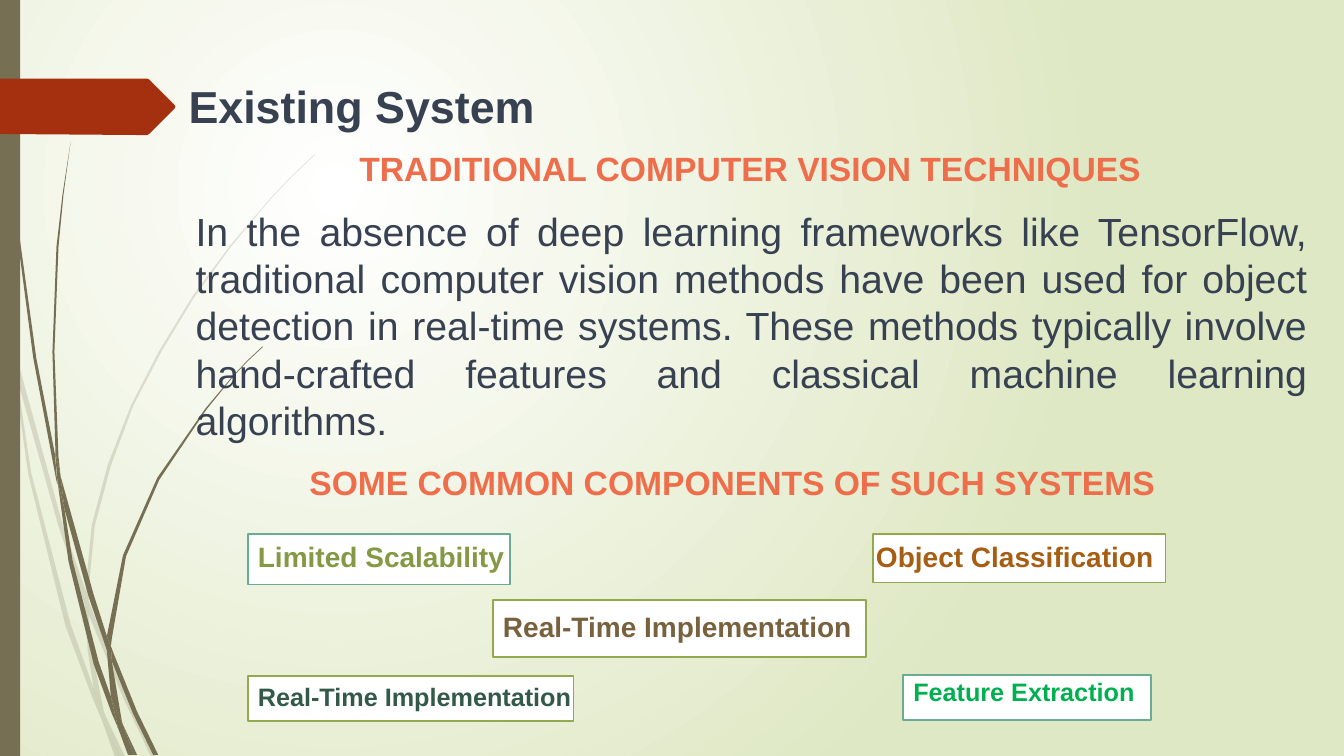
from lxml import etree
from pptx import Presentation
from pptx.dml.color import RGBColor
from pptx.enum import shapes, text
from pptx.oxml.ns import qn

PX = 9144  # EMU per px, 100 px to the inch
WIDTH, HEIGHT = 1333, 750

WHITE = RGBColor(0xFF, 0xFF, 0xFF)
PALE_GREEN = RGBColor(0xDF, 0xE8, 0xC4)
OLIVE = RGBColor(0x76, 0x6F, 0x54)
RUST = RGBColor(0xA5, 0x30, 0x10)
SLATE = RGBColor(0x37, 0x41, 0x51)
CORAL = RGBColor(0xEE, 0x6E, 0x4B)
TEAL_LINE = RGBColor(0x6A, 0xAC, 0x91)
GREEN_LINE = RGBColor(0x92, 0xAA, 0x4C)
BRIGHT_GREEN = RGBColor(0x00, 0xB0, 0x50)
BROWN = RGBColor(0xA6, 0x5E, 0x12)
DARK_GREEN = RGBColor(0x32, 0x59, 0x49)
TAN = RGBColor(0x77, 0x62, 0x3D)
LEAF = RGBColor(0x83, 0x99, 0x43)


def draw_outline(parent, points, color):
    """Add a closed, filled outline without a border."""
    builder = parent.build_freeform(*points[0], scale=PX)
    builder.add_line_segments(points[1:])
    shape = builder.convert_to_shape()
    shape.shadow.inherit = False
    shape.fill.solid()
    shape.fill.fore_color.rgb = color
    shape.line.fill.background()
    return shape


def write(shape, box, words, size, color, bold=True, align=text.PP_ALIGN.LEFT):
    """Place a text shape and format its single paragraph."""
    shape.left, shape.top, shape.width, shape.height = [n * PX for n in box]
    frame = shape.text_frame
    frame.text = words
    frame.word_wrap = True
    frame.auto_size = text.MSO_AUTO_SIZE.NONE
    frame.vertical_anchor = text.MSO_ANCHOR.TOP
    paragraph = frame.paragraphs[0]
    paragraph.alignment = align
    font = paragraph.runs[0].font
    font.name, font.size, font.bold = "Arial", size * 12700, bold
    font.color.rgb = color
    return paragraph


presentation = Presentation()
presentation.slide_width = WIDTH * PX
presentation.slide_height = HEIGHT * PX
slide = presentation.slides.add_slide(presentation.slide_layouts[1])

# Background: radial gradient centred in the upper left
background = slide.background.fill
background.gradient()
for stop, color, position in zip(background.gradient_stops, (WHITE, PALE_GREEN), (0, 1)):
    stop.color.rgb = color
    stop.position = position
gradient = slide.background._cSld.find(".//" + qn("a:gradFill"))
gradient.remove(gradient.find(qn("a:lin")))
circle = etree.SubElement(gradient, qn("a:path"), path="circle")
etree.SubElement(circle, qn("a:fillToRect"), l="50000", t="50000", r="100000", b="100000")

# Grass: the pieces of each tuft as outlines
pale_grass = [
    [(11, 350), (9, 322), (0, 282), (0, 299), (10, 344)],
    [(58, 522), (84, 599), (85, 586), (62, 520), (14, 345), (17, 376)],
    [(92, 607), (88, 596), (88, 610), (123, 694), (150, 751), (155, 751), (127, 692)],
    [(119, 751), (124, 751), (105, 711)],
    [(93, 683), (70, 619), (31, 469), (17, 376), (11, 350), (28, 470), (65, 621),
     (92, 693), (101, 714), (99, 707)],
    [(84, 599), (87, 646), (93, 683), (96, 692), (105, 711), (103, 706), (91, 646),
     (88, 610), (88, 608)],
    [(88, 584), (94, 522), (110, 462), (132, 403), (160, 349), (192, 296), (229, 245),
     (268, 198), (290, 175), (312, 154), (312, 153), (289, 175), (268, 197), (228, 244),
     (191, 294), (158, 348), (130, 402), (107, 461), (91, 521), (85, 584), (85, 586), (88, 596)],
    [(101, 714), (114, 751), (119, 751)],
    [(88, 608), (88, 610), (88, 596), (85, 586), (84, 599)],
    [(96, 692), (93, 683), (99, 707), (101, 714), (119, 751), (105, 711)],
]
dark_grass = [
    [(7, 110), (17, 233), (33, 355), (56, 477), (57, 481), (55, 457), (55, 453), (36, 355),
     (19, 232), (8, 109), (5, 48), (4, 0), (3, 0), (4, 48)],
    [(88, 592), (106, 645), (106, 633), (106, 631), (93, 590), (60, 472), (64, 505)],
    [(113, 649), (110, 641), (111, 656), (132, 708), (152, 749), (157, 749), (136, 706)],
    [(110, 691), (98, 657), (72, 556), (64, 505), (57, 477), (68, 557), (93, 659),
     (111, 708), (117, 722), (116, 717)],
    [(60, 472), (58, 453), (54, 349), (58, 245), (63, 193), (70, 141), (62, 193),
     (56, 245), (52, 349), (55, 449)],
    [(133, 749), (136, 749), (122, 719)],
    [(57, 477), (64, 505), (60, 472), (55, 449), (55, 453)],
    [(111, 633), (125, 552), (158, 476), (205, 406), (231, 374), (245, 359), (261, 344),
     (260, 344), (245, 358), (231, 373), (204, 405), (156, 474), (122, 551), (106, 631), (110, 641)],
    [(117, 722), (127, 749), (131, 749)],
    [(106, 645), (110, 691), (116, 706), (122, 719), (121, 716), (111, 656), (109, 651)],
    [(106, 645), (109, 651), (111, 656), (110, 641), (106, 631), (106, 633)],
    [(116, 706), (110, 691), (116, 717), (117, 722), (130, 749), (133, 749), (122, 719)],
]
for pieces, opacity in ((pale_grass, 20), (dark_grass, 100)):
    tuft = slide.shapes.add_group_shape()
    for points in pieces:
        piece = draw_outline(tuft.shapes, points, OLIVE)
        if opacity < 100:
            color = piece._element.spPr.find(".//" + qn("a:srgbClr"))
            etree.SubElement(color, qn("a:alpha"), val=str(opacity * 1000))

# Side bar, title arrow and label frames
frames = [
    ((0, 0, 20, HEIGHT), OLIVE, None),
    ((896, 670, 246, 44), WHITE, TEAL_LINE),
    ((246, 671, 323, 44), WHITE, GREEN_LINE),
    ((866, 530, 290, 48), WHITE, GREEN_LINE),
    ((246, 530, 260, 50), WHITE, TEAL_LINE),
    ((489, 595, 370, 57), WHITE, GREEN_LINE),
]
for box, fill, line in frames:
    shape = slide.shapes.add_shape(shapes.MSO_SHAPE.RECTANGLE, *[n * PX for n in box])
    shape.shadow.inherit = False
    shape.fill.solid()
    shape.fill.fore_color.rgb = fill
    if line is None:
        shape.line.fill.background()
    else:
        shape.line.color.rgb = line
        shape.line.width = 15875
arrow = [(0, 78), (146, 78), (148, 79), (173, 104), (174, 106), (173, 108),
         (148, 133), (146, 134), (136, 134), (0, 133)]
draw_outline(slide.shapes, arrow, RUST)

# Title and body, brought in front of the artwork
title, body = slide.placeholders
for placeholder in (body, title):
    slide.shapes._spTree.append(placeholder._element)
write(title, (177, 73, 1112, 64), "Existing System", 32, SLATE)
paragraph = write(
    body, (184, 201, 1122, 246),
    "In the absence of deep learning frameworks like TensorFlow, traditional computer "
    "vision methods have been used for object detection in real-time systems. These "
    "methods typically involve hand-crafted features and classical machine learning "
    "algorithms.", 28, SLATE, bold=False, align=text.PP_ALIGN.JUSTIFY)
paragraph.line_spacing = 1.0
paragraph.space_before = 0
properties = paragraph._p.get_or_add_pPr()
properties.set("marL", "0")
properties.set("indent", "0")
etree.SubElement(properties, qn("a:buNone"))

# Headings and labels
LEFT, CENTER = text.PP_ALIGN.LEFT, text.PP_ALIGN.CENTER
captions = [
    ("TRADITIONAL COMPUTER VISION TECHNIQUES", (333, 142, 822, 50), 24, CORAL, CENTER),
    ("Feature Extraction", (896, 666, 437, 40), 18, BRIGHT_GREEN, LEFT),
    ("Object Classification", (859, 530, 474, 44), 20, BROWN, LEFT),
    ("Real-Time Implementation", (246, 671, 667, 40), 18, DARK_GREEN, LEFT),
    ("Real-Time Implementation", (489, 600, 667, 44), 20, TAN, LEFT),
    ("Limited Scalability", (246, 530, 667, 44), 20, LEAF, LEFT),
    ("SOME COMMON COMPONENTS OF SUCH SYSTEMS", (297, 453, 872, 50), 24, CORAL, LEFT),
]
for words, box, size, color, align in captions:
    write(slide.shapes.add_textbox(0, 0, 0, 0), box, words, size, color, align=align)

presentation.save("out.pptx")
